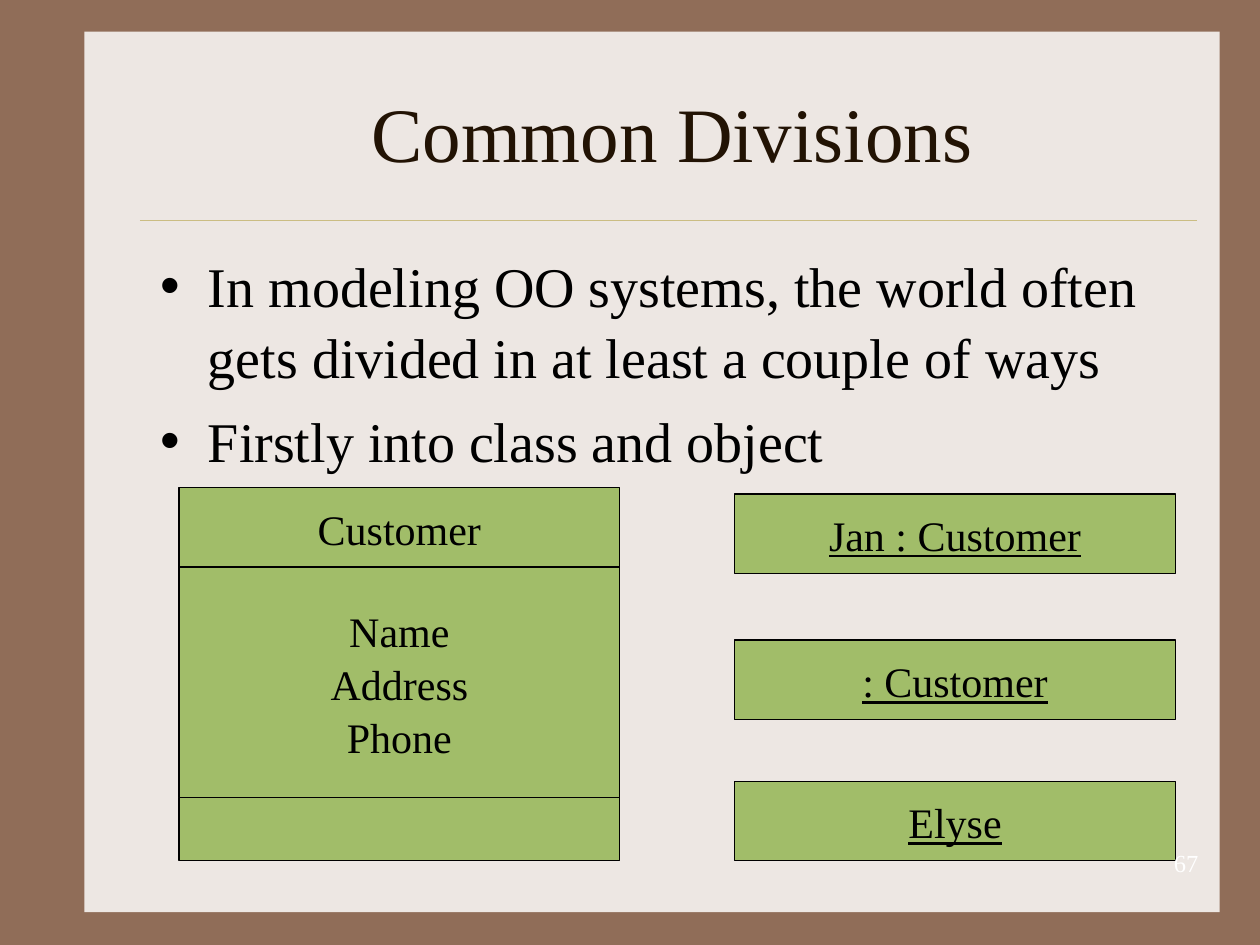
from lxml.etree import SubElement as Sub
from pptx import Presentation
from pptx.dml.color import RGBColor as RGB
from pptx.enum.shapes import MSO_CONNECTOR as Conn, MSO_SHAPE as Shape
from pptx.enum.text import MSO_ANCHOR as Anchor, PP_ALIGN as Align
from pptx.oxml.ns import qn
from pptx.util import Inches, Pt

HUES = {"back": "906D58", "panel": "EDE7E3", "rule": "CBBD83", "title": "221304",
        "box": "A1BD69", "ink": "000000", "page": "FFFFFF"}
FACE = "Times New Roman"
LEAD = 1.05


def hue(name):
    """Return a named colour."""
    return RGB.from_string(HUES[name])


def style(para, size, ink, align, under=None):
    """Set the font and alignment of a paragraph."""
    para.alignment = align
    font = para.font
    font.name, font.size, font.underline = FACE, Pt(size), under
    font.color.rgb = hue(ink)


def place(item, left, top, width, height):
    """Move and size a shape."""
    item.left, item.top = Inches(left), Inches(top)
    item.width, item.height = Inches(width), Inches(height)


def add_rect(slide, fill, left, top, width, height):
    """Add a plain filled rectangle."""
    rect = slide.shapes.add_shape(Shape.RECTANGLE, *map(Inches, (left, top, width, height)))
    rect.shadow.inherit = False
    rect.fill.solid()
    rect.fill.fore_color.rgb = hue(fill)
    rect.line.fill.background()
    return rect


def add_box(slide, left, top, height, text="", under=None):
    """Add an outlined diagram box with centred text."""
    box = add_rect(slide, "box", left, top, 3.5, height)
    box.line.color.rgb = hue("ink")
    box.line.width = Pt(0.75)
    if text:
        frame = box.text_frame
        frame.word_wrap = False
        frame.vertical_anchor = Anchor.MIDDLE
        frame.text = text
        for para in frame.paragraphs:
            para.line_spacing = LEAD
            style(para, 24, "ink", Align.CENTER, under)


def add_rule(slide):
    """Draw the line below the title."""
    rule = slide.shapes.add_connector(
        Conn.STRAIGHT, Inches(1.11), Inches(1.75), Inches(9.5), Inches(1.75))
    rule.line.color.rgb = hue("rule")
    rule.line.width = Pt(0.25)
    Sub(rule.element.spPr, qn("a:effectLst"))


def set_title(slide, text):
    """Fill the title placeholder."""
    title = slide.shapes.title
    place(title, 1.17, 0.42, 8.33, 1.25)
    frame = title.text_frame
    frame.text = text
    frame.vertical_anchor = Anchor.MIDDLE
    style(frame.paragraphs[0], 44, "title", Align.CENTER)


def set_list(slide, items):
    """Fill the body placeholder with bullets."""
    body = slide.placeholders[1]
    place(body, 1.17, 1.92, 8.33, 4.5)
    frame = body.text_frame
    frame.text = "\n".join(items)
    for i, para in enumerate(frame.paragraphs):
        props = para._p.get_or_add_pPr()
        props.set("marL", str(Inches(0.38)))
        props.set("indent", str(Inches(-0.38)))
        Sub(props, qn("a:buChar")).set("char", "•")
        para.space_before = Pt(8 if i else 0)
        para.line_spacing = LEAD
        style(para, 32, "ink", Align.LEFT)


def add_page(slide, text):
    """Add the page number."""
    page = slide.shapes.add_textbox(*map(Inches, (7.53, 6.68, 2.08, 0.5)))
    frame = page.text_frame
    frame.word_wrap = True
    frame.text = text
    style(frame.paragraphs[0], 14, "page", Align.RIGHT)


def main():
    """Build the slide."""
    deck = Presentation()
    deck.slide_width, deck.slide_height = Inches(10), Inches(7.5)
    slide = deck.slides.add_slide(deck.slide_layouts[1])
    slide.background.fill.solid()
    slide.background.fill.fore_color.rgb = hue("back")
    panel = add_rect(slide, "panel", 0.67, 0.25, 9.01, 6.99)
    slide.shapes.title.element.addprevious(panel.element)
    add_rule(slide)
    set_title(slide, "Common Divisions")
    set_list(slide, ["In modeling OO systems, the world often gets divided in at least "
                     "a couple of ways", "Firstly into class and object"])
    add_box(slide, 1.42, 6.33, 0.5)
    add_box(slide, 1.42, 4.5, 1.83, "Name\nAddress\nPhone")
    add_box(slide, 1.42, 3.87, 0.63, "Customer")
    for top, text in ((3.92, "Jan : Customer"), (5.08, ": Customer"), (6.2, "Elyse")):
        add_box(slide, 5.83, top, 0.63, text, True)
    add_page(slide, "67")
    deck.save("out.pptx")


if __name__ == "__main__":
    main()
